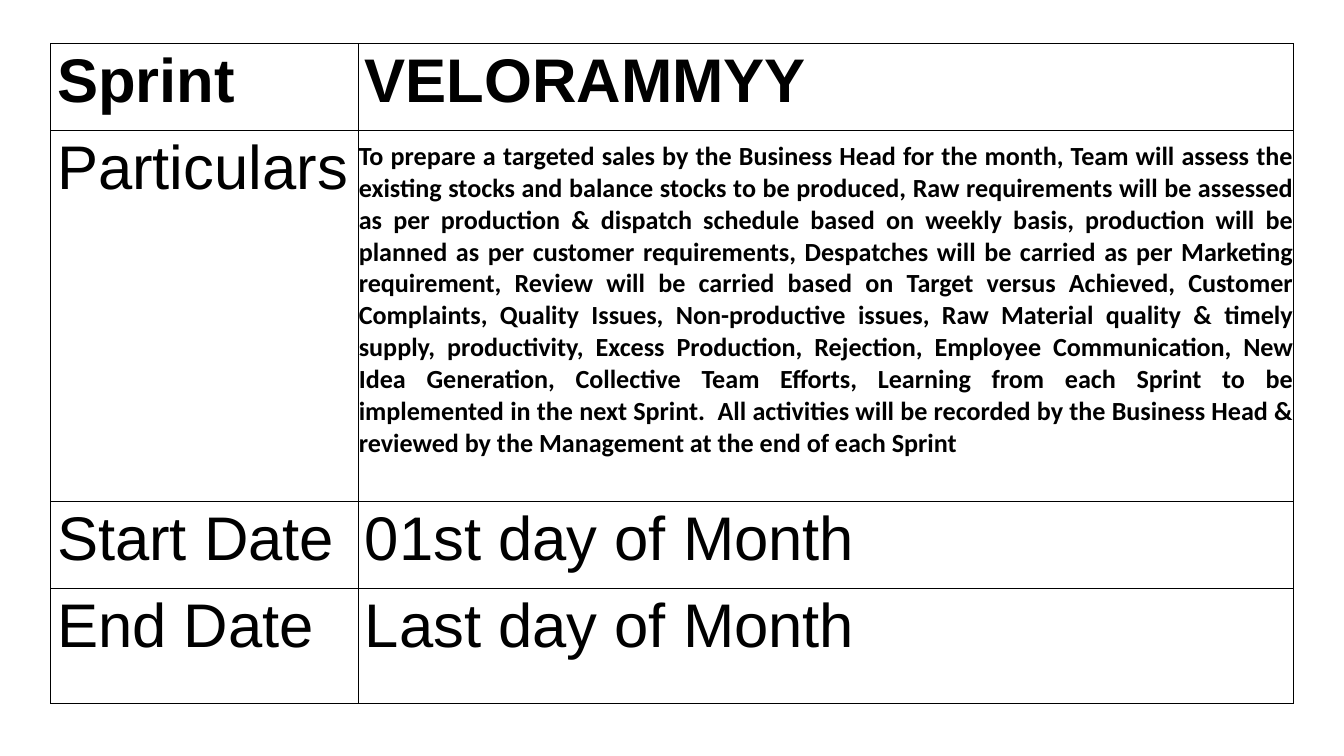
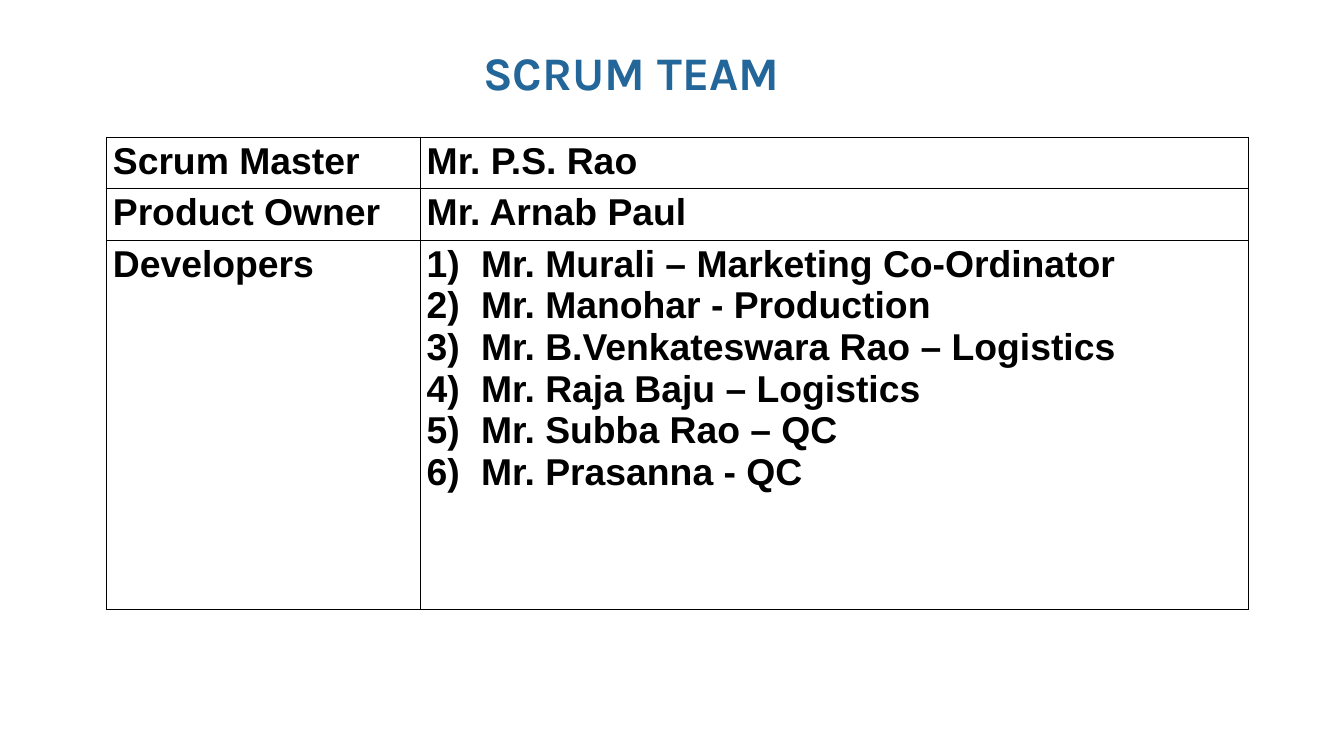
from lxml.etree import SubElement
from pptx import Presentation
from pptx.dml.color import RGBColor
from pptx.enum.text import MSO_ANCHOR, MSO_AUTO_SIZE, PP_ALIGN
from pptx.oxml.ns import qn
from pptx.util import Inches, Pt

BLACK = RGBColor(0x00, 0x00, 0x00)
WHITE = RGBColor(0xFF, 0xFF, 0xFF)
TITLE_BLUE = RGBColor(0x23, 0x66, 0x99)
HANGING_INDENT = Inches(0.81)

PARTICULARS = (
    "To prepare a targeted sales by the Business Head for the month, Team will assess the "
    "existing stocks and balance stocks to be produced, Raw requirements will be assessed as "
    "per production & dispatch schedule based on weekly basis, production will be planned as "
    "per customer requirements, Despatches will be carried as per Marketing requirement, "
    "Review will be carried based on Target versus Achieved, Customer Complaints, Quality "
    "Issues, Non-productive issues, Raw Material quality & timely supply, productivity, "
    "Excess Production, Rejection, Employee Communication, New Idea Generation, Collective "
    "Team Efforts, Learning from each Sprint to be implemented in the next Sprint.  All "
    "activities will be recorded by the Business Head & reviewed by the Management at the "
    "end of each Sprint"
)
DEVELOPERS = [
    "Mr. Murali – Marketing Co-Ordinator",
    "Mr. Manohar - Production",
    "Mr. B.Venkateswara Rao – Logistics",
    "Mr. Raja Baju – Logistics",
    "Mr. Subba Rao – QC",
    "Mr. Prasanna - QC",
]


def number_paragraph(paragraph):
    """Number a paragraph as 1), 2), 3) with a hanging indent."""
    properties = paragraph._p.get_or_add_pPr()
    properties.set("marL", str(HANGING_INDENT))
    properties.set("indent", str(-HANGING_INDENT))
    SubElement(properties, qn("a:buAutoNum"), type="arabicParenR")


def write_text(frame, text, size, font="Arial", bold=True, color=BLACK,
               align=PP_ALIGN.LEFT, numbered=False):
    """Write a string, or a list of paragraphs, in one format."""
    lines = [text] if isinstance(text, str) else text
    for index, line in enumerate(lines):
        paragraph = frame.paragraphs[0] if index == 0 else frame.add_paragraph()
        paragraph.alignment = align
        run = paragraph.add_run()
        run.text = line
        run.font.size = Pt(size)
        run.font.name = font
        run.font.bold = bold
        run.font.color.rgb = color
        if numbered:
            number_paragraph(paragraph)


def style_cell(cell):
    """Give a cell a white fill and thin black borders."""
    properties = cell._tc.get_or_add_tcPr()
    for side in ("lnL", "lnR", "lnT", "lnB"):
        border = SubElement(properties, qn(f"a:{side}"), w=str(Pt(1)))
        border_fill = SubElement(border, qn("a:solidFill"))
        SubElement(border_fill, qn("a:srgbClr"), val=str(BLACK))
    cell.fill.solid()
    cell.fill.fore_color.rgb = WHITE


def add_grid(slide, left, top, widths, heights):
    """Add a plain bordered table with the given column widths and row heights."""
    grid = slide.shapes.add_table(
        len(heights), len(widths), Inches(left), Inches(top),
        Inches(sum(widths)), Inches(sum(heights))).table
    grid.first_row = False
    grid.horz_banding = False
    for column, width in zip(grid.columns, widths):
        column.width = Inches(width)
    for row, height in zip(grid.rows, heights):
        row.height = Inches(height)
    for cell in grid.iter_cells():
        style_cell(cell)
    return grid


def add_title(slide, text, left, top, width, height):
    """Place and format the slide's title."""
    title = slide.shapes.title
    title.left, title.top = Inches(left), Inches(top)
    title.width, title.height = Inches(width), Inches(height)
    frame = title.text_frame
    frame.margin_left = frame.margin_right = frame.margin_top = frame.margin_bottom = 0
    frame.word_wrap = True
    frame.vertical_anchor = MSO_ANCHOR.TOP
    frame.auto_size = MSO_AUTO_SIZE.SHAPE_TO_FIT_TEXT
    write_text(frame, text, 50, font="Karla", color=TITLE_BLUE)


def write_particulars(cell):
    """Fill the cell that describes the sprint."""
    cell.margin_left = cell.margin_right = cell.margin_top = Inches(0.01)
    cell.margin_bottom = Inches(0.48)
    cell.vertical_anchor = MSO_ANCHOR.MIDDLE
    write_text(cell.text_frame, PARTICULARS, 28, font="Calibri", align=PP_ALIGN.JUSTIFY)


def build_sprint_slide(deck):
    """Build the slide with the sprint's details."""
    slide = deck.slides.add_slide(deck.slide_layouts[6])
    grid = add_grid(slide, 0.75, 0.65, [4.58, 13.92], [1.29, 5.52, 1.29, 1.72])
    details = [
        ("Sprint", "VELORAMMYY"),
        ("Particulars", None),
        ("Start Date", "01st day of Month"),
        ("End Date", "Last day of Month"),
    ]
    for row, (label, detail) in enumerate(details):
        write_text(grid.cell(row, 0).text_frame, label, 66, bold=row == 0)
        if detail is None:
            write_particulars(grid.cell(row, 1))
        else:
            write_text(grid.cell(row, 1).text_frame, detail, 66, bold=row == 0)


def build_team_slide(deck):
    """Build the slide that lists the scrum team."""
    slide = deck.slides.add_slide(deck.slide_layouts[5])
    grid = add_grid(slide, 1.58, 2.04, [4.67, 12.33], [0.55, 0.57, 5.49])
    team = [
        ("Scrum Master", "Mr. P.S. Rao"),
        ("Product Owner", "Mr. Arnab Paul"),
        ("Developers", DEVELOPERS),
    ]
    for row, (role, members) in enumerate(team):
        write_text(grid.cell(row, 0).text_frame, role, 40)
        write_text(grid.cell(row, 1).text_frame, members, 40,
                   numbered=members is DEVELOPERS)
    add_title(slide, "SCRUM TEAM", 7.19, 0.65, 5.63, 0.86)


def main():
    """Build and save the presentation."""
    deck = Presentation()
    deck.slide_width, deck.slide_height = Inches(20), Inches(11.25)
    build_sprint_slide(deck)
    build_team_slide(deck)
    deck.save("out.pptx")


if __name__ == "__main__":
    main()
